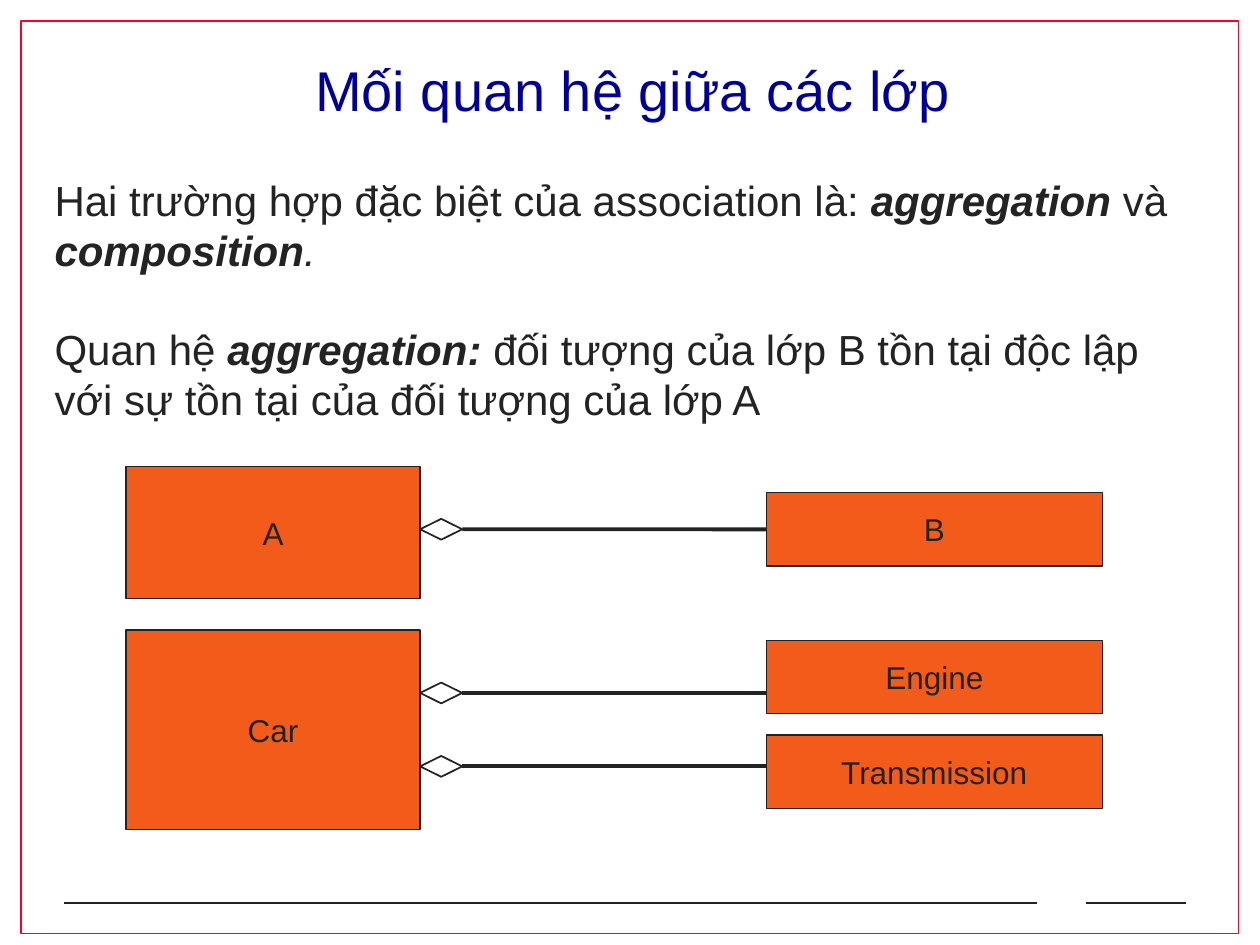
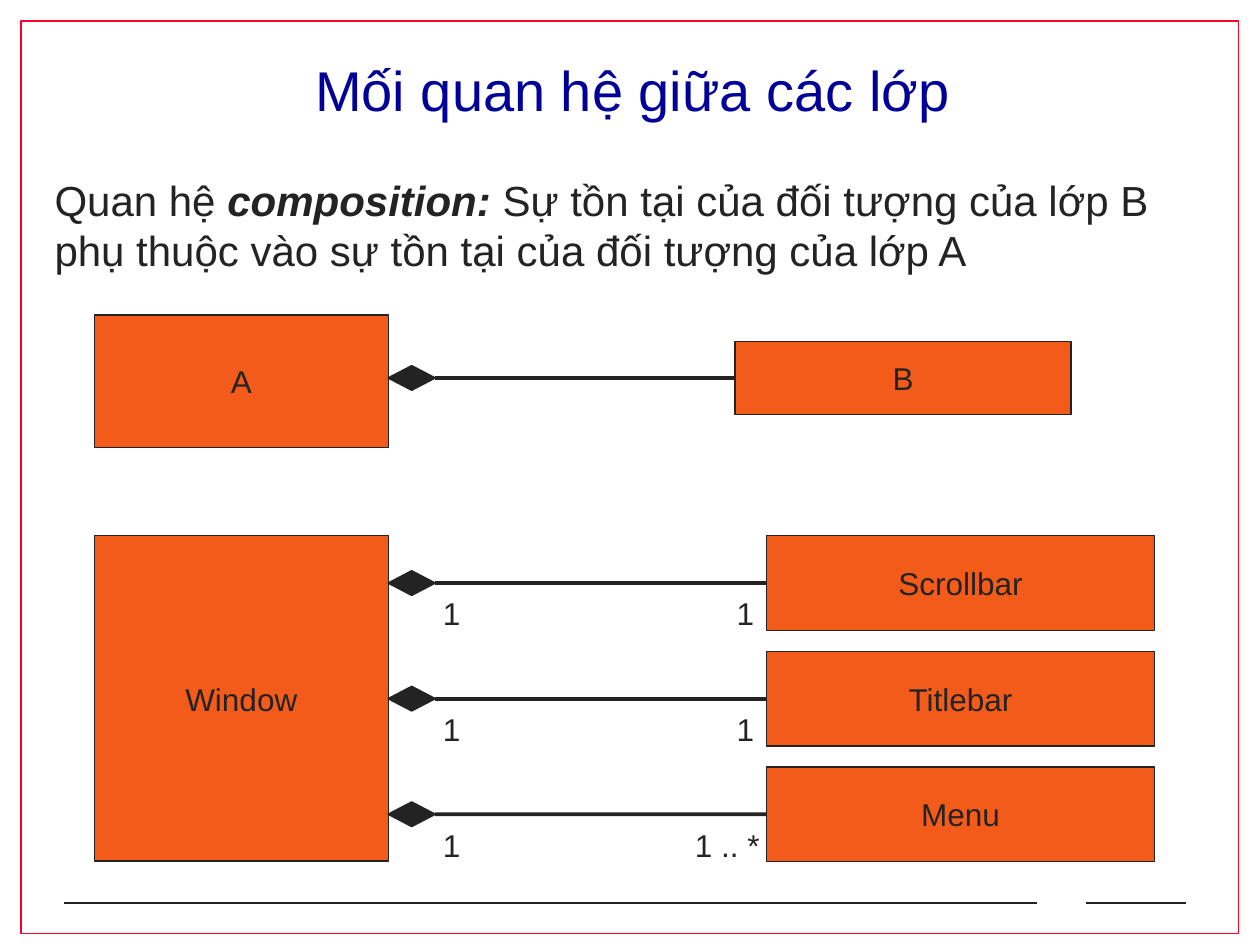
from pptx import Presentation
from pptx.dml.color import RGBColor
from pptx.enum.shapes import MSO_CONNECTOR, MSO_SHAPE
from pptx.enum.text import MSO_ANCHOR, PP_ALIGN
from pptx.oxml.ns import qn
from pptx.util import Cm, Pt
from lxml import etree

INK = RGBColor(0x23, 0x23, 0x23)
WHITE = RGBColor(0xFF, 0xFF, 0xFF)
FRAME_RED = RGBColor(0xFC, 0x01, 0x28)
TITLE_BLUE = RGBColor(0x00, 0x00, 0x99)
CLASS_ORANGE = RGBColor(0xF3, 0x5B, 0x1B)

FONT = "Arial"
TITLE = "Mối quan hệ giữa các lớp "
FOOTER_Y = 18.21
FOOTER_LINES = [(1.3, 4.88), (4.7, 20.9), (21.89, 23.9)]
WHOLE_WIDTH = 5.93
PART_STEP = 2.33

AGGREGATION = {
    "body": [
        [("Hai trường hợp đặc biệt của association là: ", False, False),
         ("aggregation ", True, True), ("và ", False, False),
         ("composition", True, True), (".", False, True)],
        [("Quan hệ ", False, False), ("aggregation: ", True, True),
         ("đối tượng của lớp B tồn tại độc lập với sự tồn tại của "
          "đối tượng của lớp A", False, False)],
    ],
    "whole_left": 2.54,
    "wholes": [("A", 9.4, 2.67), ("Car", 12.7, 4.02)],
    "parts": [
        ("B", 15.45, 9.93, 6.77, 1.48, 0),
        ("Engine", 15.45, 12.91, 6.77, 1.48, 0.32),
        ("Transmission", 15.45, 14.82, 6.77, 1.48, -0.11),
    ],
    "diamond": (0.85, 0.42, WHITE),
    "multiplicities": [],
}

COMPOSITION = {
    "body": [
        [("Quan hệ ", False, False), ("composition: ", True, True),
         ("Sự tồn tại của đối tượng của lớp B phụ thuộc vào sự tồn tại của "
          "đối tượng của lớp A", False, False)],
    ],
    "whole_left": 1.9,
    "wholes": [("A", 6.35, 2.67), ("Window", 10.8, 6.56)],
    "parts": [("B", 14.82, 6.88, 6.77, 1.48, 0)] + [
        (name, 15.45, 10.8 + row * PART_STEP, 7.83, 1.91, 0)
        for row, name in enumerate(["Scrollbar", "Titlebar", "Menu"])
    ],
    "diamond": (0.94, 0.49, INK),
    "multiplicities": [
        (text, left, 11.86 + row * PART_STEP, width)
        for row, ends in enumerate([
            [("1", 8.68, 0.85), ("1", 14.6, 0.85)],
            [("1", 8.68, 0.85), ("1", 14.6, 0.85)],
            [("1", 8.68, 1.48), ("1 .. *", 13.76, 2.12)],
        ])
        for text, left, width in ends
    ],
}


def add_line(page, start, end, y, weight):
    line = page.shapes.add_connector(
        MSO_CONNECTOR.STRAIGHT, Cm(start), Cm(y), Cm(end), Cm(y))
    line.line.color.rgb = INK
    line.line.width = Pt(weight)
    etree.SubElement(line._element.spPr, qn("a:effectLst"))
    return line


def add_shape(page, kind, left, top, width, height, fill, outline, weight, text=""):
    shape = page.shapes.add_shape(kind, Cm(left), Cm(top), Cm(width), Cm(height))
    shape.shadow.inherit = False
    if fill is None:
        shape.fill.background()
    else:
        shape.fill.solid()
        shape.fill.fore_color.rgb = fill
    shape.line.color.rgb = outline
    shape.line.width = Pt(weight)
    if text:
        frame = shape.text_frame
        frame.text = text
        frame.word_wrap = False
        frame.vertical_anchor = MSO_ANCHOR.MIDDLE
        para = frame.paragraphs[0]
        para.alignment = PP_ALIGN.CENTER
        font = para.runs[0].font
        font.name, font.size, font.color.rgb = FONT, Pt(18), INK
    return shape


deck = Presentation()
deck.slide_width = Cm(25.4)
deck.slide_height = Cm(19.05)

for content in (AGGREGATION, COMPOSITION):
    page = deck.slides.add_slide(deck.slide_layouts[6])
    add_shape(page, MSO_SHAPE.RECTANGLE, 0.43, 0.43, 24.54, 18.39, None, FRAME_RED, 1)
    for start, end in FOOTER_LINES:
        add_line(page, start, end, FOOTER_Y, 1)

    title = page.shapes.add_textbox(Cm(1.7), Cm(1.07), Cm(22.43), Cm(1.47))
    title.text_frame.word_wrap = True
    title.text_frame.vertical_anchor = MSO_ANCHOR.MIDDLE
    title.text_frame.text = TITLE
    para = title.text_frame.paragraphs[0]
    para.alignment = PP_ALIGN.CENTER
    font = para.runs[0].font
    font.name, font.size, font.color.rgb = FONT, Pt(32), TITLE_BLUE

    body_height = 2.31 if len(content["body"]) == 1 else 5.38
    body = page.shapes.add_textbox(Cm(0.85), Cm(3.39), Cm(23.7), Cm(body_height))
    body.text_frame.word_wrap = True
    for index, spans in enumerate(content["body"]):
        if index == 0:
            para = body.text_frame.paragraphs[0]
        else:
            para = body.text_frame.add_paragraph()
            para.space_before = Pt(27.6)
        for text, bold, italic in spans:
            span = para.add_run()
            span.text = text
            font = span.font
            font.name, font.size, font.color.rgb = FONT, Pt(24), INK
            font.bold, font.italic = bold, italic

    whole_left = content["whole_left"]
    for name, top, height in content["wholes"]:
        add_shape(page, MSO_SHAPE.RECTANGLE, whole_left, top, WHOLE_WIDTH, height,
                  CLASS_ORANGE, INK, 0.75, name)

    diamond_left = whole_left + WHOLE_WIDTH
    diamond_width, diamond_height, diamond_fill = content["diamond"]
    for name, left, top, width, height, offset in content["parts"]:
        part = add_shape(page, MSO_SHAPE.RECTANGLE, left, top, width, height,
                         CLASS_ORANGE, INK, 0.75, name)
        y = top + height / 2 + offset
        line = add_line(page, diamond_left + diamond_width, left, y, 2.25)
        diamond = add_shape(page, MSO_SHAPE.DIAMOND, diamond_left, y - diamond_height / 2,
                            diamond_width, diamond_height, diamond_fill, INK, 1)
        line.begin_connect(diamond, 3)
        if offset == 0:
            line.end_connect(part, 1)

    for text, left, top, width in content["multiplicities"]:
        box = page.shapes.add_textbox(Cm(left), Cm(top), Cm(width), Cm(1.02))
        box.text_frame.word_wrap = True
        box.text_frame.text = text
        font = box.text_frame.paragraphs[0].runs[0].font
        font.name, font.size, font.color.rgb = FONT, Pt(18), INK

deck.save("out.pptx")
